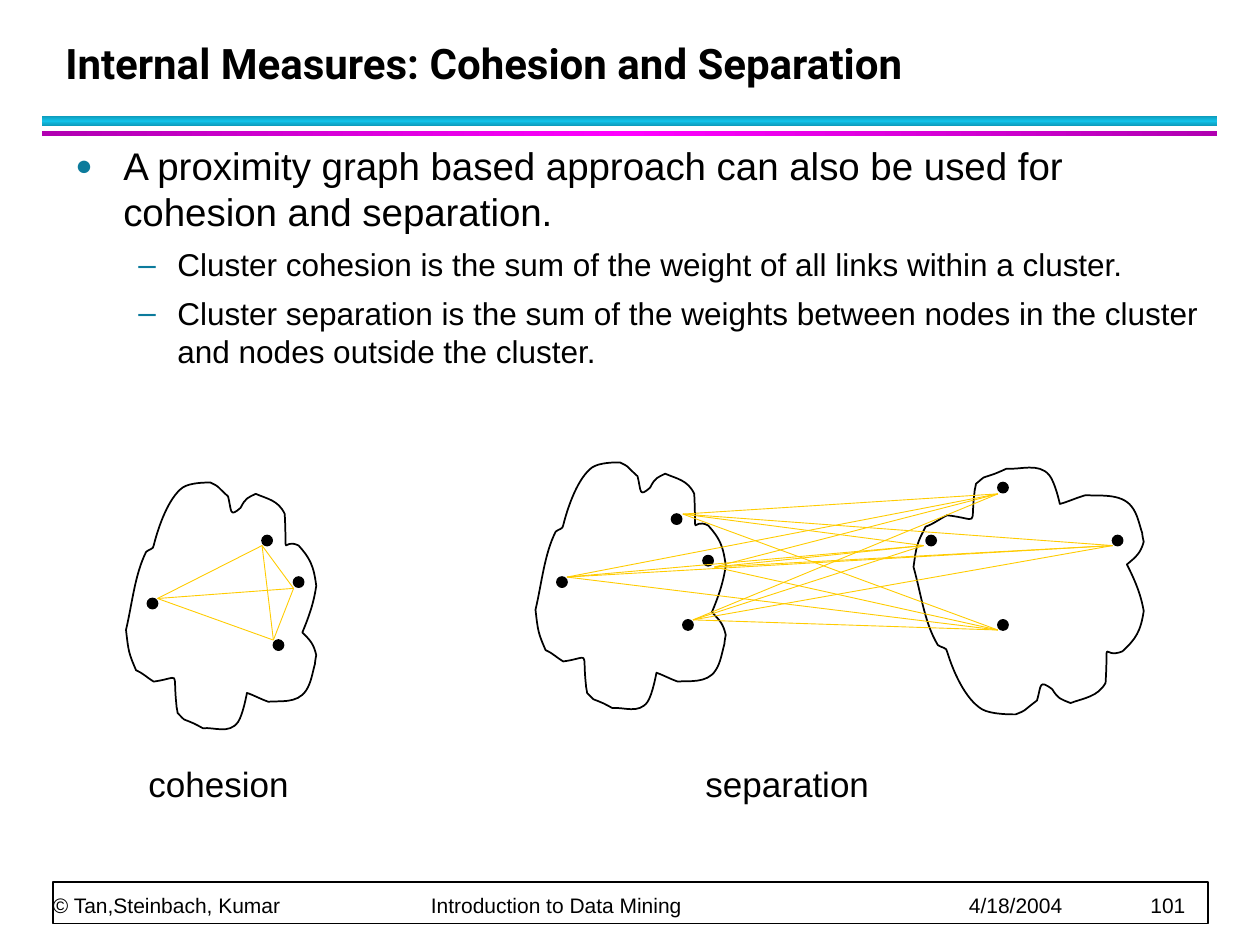
from copy import deepcopy
from itertools import combinations, product

from lxml import etree
from pptx import Presentation
from pptx import util as u
from pptx.dml.color import RGBColor
from pptx.enum import shapes, text
from pptx.oxml.ns import qn

BLACK = RGBColor(0x00, 0x00, 0x00)
WHITE = RGBColor(0xFF, 0xFF, 0xFF)
TEAL = RGBColor(0x0C, 0x7B, 0x9C)
CYAN, CYAN_DARK = RGBColor(0x12, 0xC2, 0xE9), RGBColor(0x0E, 0x9A, 0xB9)
MAGENTA, MAGENTA_DARK = RGBColor(0xFF, 0x00, 0xFF), RGBColor(0xB1, 0x00, 0xB1)
GOLD = RGBColor(0xFF, 0xCC, 0x00)

# Cluster outline in hundredths of an inch: a start point, then
# two control points and an end point for each curve
START = (16, 55)
CURVES = [
    (7, 73, 5, 96, 0, 117), (2, 134, 2, 135, 8, 149),
    (13, 151, 17, 155, 22, 158), (44, 155, 37, 148, 40, 176),
    (40, 179, 41, 181, 41, 183), (48, 190, 44, 187, 51, 190),
    (54, 191, 61, 195, 61, 195), (70, 194, 82, 200, 89, 190),
    (93, 184, 96, 167, 96, 167), (102, 169, 107, 172, 113, 174),
    (121, 173, 136, 176, 143, 165), (147, 159, 148, 151, 150, 144),
    (150, 142, 151, 137, 151, 137), (149, 128, 146, 125, 140, 119),
    (145, 107, 149, 96, 151, 82), (149, 66, 146, 60, 137, 50),
    (123, 43, 128, 65, 126, 25), (121, 14, 112, 13, 103, 9),
    (97, 12, 95, 12, 91, 20), (82, 28, 84, 23, 81, 11),
    (70, 1, 75, 4, 67, 0), (63, 0, 51, 0, 45, 4),
    (34, 12, 26, 34, 22, 50), (22, 53, 18, 53, 16, 55),
]


def add_xml(parent, tag, **attrs):
    return etree.SubElement(parent, qn(tag), attrs)


def write(p, words, size=20, font="Arial", bold=False, before=0, after=0,
          spacing=None, bullet=None, bullet_size=100, margin=0, hang=0,
          tabs=()):
    """Fill a paragraph with one formatted run."""
    r = p.add_run()
    r.text = words
    r.font.size, r.font.name, r.font.bold = u.Pt(size), font, bold
    r.font.color.rgb = BLACK
    p.space_before, p.space_after = u.Pt(before), u.Pt(after)
    if spacing:
        p.line_spacing = u.Pt(spacing)
    pPr = p._p.get_or_add_pPr()
    if bullet:
        pPr.set("marL", str(u.Inches(margin)))
        pPr.set("indent", str(-u.Inches(hang)))
        add_xml(add_xml(pPr, "a:buClr"), "a:srgbClr", val=str(TEAL))
        add_xml(pPr, "a:buSzPct", val=str(bullet_size * 1000))
        add_xml(pPr, "a:buFont", typeface=font)
        add_xml(pPr, "a:buChar", char=bullet)
    if tabs:
        tab_list = add_xml(pPr, "a:tabLst")
        for tab in tabs:
            add_xml(tab_list, "a:tab", pos=str(u.Inches(tab)), algn="l")


class Painter:
    """Draws on one slide in a shared style."""

    outline = u.Pt(1)
    link_width = u.Pt(0.5)
    dot_size = 0.08

    def __init__(self, slide):
        self.shapes = slide.shapes

    def shape(self, kind, x, y, w, h, fill, line=BLACK):
        sp = self.shapes.add_shape(kind, *map(u.Inches, (x, y, w, h)))
        sp.shadow.inherit = False
        sp.fill.solid()
        sp.fill.fore_color.rgb = fill
        if line is None:
            sp.line.fill.background()
        else:
            sp.line.color.rgb, sp.line.width = line, self.outline
        return sp

    def band(self, x, y, w, h, edge, middle, angle):
        sp = self.shape(shapes.MSO_SHAPE.RECTANGLE, x, y, w, h, middle, None)
        sp.fill.gradient()
        sp.fill.gradient_angle = angle
        stops = sp._element.xpath(".//a:gsLst")[0]
        stops.append(deepcopy(stops[0]))
        looks = [(0, edge), (0.5, middle), (1, edge)]
        for stop, (position, color) in zip(sp.fill.gradient_stops, looks):
            stop.position, stop.color.rgb = position, color

    def text_box(self, x, y, w, h, anchor=text.MSO_ANCHOR.TOP, wrap=True,
                 inset=True):
        sp = self.shapes.add_textbox(*map(u.Inches, (x, y, w, h)))
        tf = sp.text_frame
        tf.word_wrap, tf.vertical_anchor = wrap, anchor
        if not wrap:
            tf.auto_size = text.MSO_AUTO_SIZE.SHAPE_TO_FIT_TEXT
        if not inset:
            tf.margin_left = tf.margin_right = 0
            tf.margin_top = tf.margin_bottom = 0
        return tf

    def cluster(self, x, y, stretch=1, mirrored=False):
        """Draw the outline with its top left corner at x, y."""
        def place(px, py):
            return (u.Inches(x + px * stretch / 100),
                    u.Inches(y + (200 - py if mirrored else py) / 100))

        points = [place(*c[i:i + 2]) for c in CURVES for i in (0, 2, 4)]
        builder = self.shapes.build_freeform(*place(*START))
        builder.add_line_segments(points, close=True)
        sp = builder.convert_to_shape()
        sp.shadow.inherit = False
        sp.fill.background()
        sp.line.color.rgb, sp.line.width = BLACK, self.outline
        # Join each three segments into one cubic curve
        segments = sp._element.xpath(".//a:lnTo")
        for i in range(0, len(segments), 3):
            curve = etree.Element(qn("a:cubicBezTo"))
            segments[i].addprevious(curve)
            for segment in segments[i:i + 3]:
                curve.append(segment[0])
                segment.getparent().remove(segment)

    def dots(self, places):
        for x, y in places:
            self.shape(shapes.MSO_SHAPE.OVAL, x, y, self.dot_size,
                       self.dot_size, BLACK)

    def links(self, pairs):
        for start, end in pairs:
            line = self.shapes.add_connector(
                shapes.MSO_CONNECTOR.STRAIGHT, *map(u.Inches, start + end))
            line.line.color.rgb, line.line.width = GOLD, self.link_width
            add_xml(line._element.spPr, "a:effectLst")


def main():
    prs = Presentation()
    prs.slide_width, prs.slide_height = u.Inches(10), u.Inches(7.5)
    s = Painter(prs.slides.add_slide(prs.slide_layouts[6]))

    # Title and bands
    s.band(0.33, 0.92, 9.33, 0.08, CYAN_DARK, CYAN, 90)
    s.band(0.33, 1.04, 9.33, 0.04, MAGENTA_DARK, MAGENTA, 0)
    tf = s.text_box(0.42, 0.17, 9.06, 0.58, text.MSO_ANCHOR.BOTTOM)
    write(tf.paragraphs[0], "Internal Measures: Cohesion and Separation",
          size=24, font="Roboto", bold=True, spacing=36)

    # Footer
    s.shape(shapes.MSO_SHAPE.RECTANGLE, 0.42, 7, 9.17, 0.33, WHITE)
    tf = s.text_box(0.42, 6.72, 9.15, 0.56, text.MSO_ANCHOR.BOTTOM,
                    inset=False)
    footer = ["© Tan,Steinbach, Kumar", "Introduction to Data Mining",
              "4/18/2004", "101"]
    write(tf.paragraphs[0], "\t".join(footer), size=12, spacing=20,
          tabs=(3, 7.27, 8.71))

    # Body
    tf = s.text_box(0.5, 1.08, 9.25, 2)
    write(tf.paragraphs[0], "A proximity graph based approach can also be "
          "used for cohesion and separation.", size=22, after=4, bullet="●",
          bullet_size=75, margin=0.38, hang=0.38)
    for words in (
            "Cluster cohesion is the sum of the weight of all links within "
            "a cluster.",
            "Cluster separation is the sum of the weights between nodes in "
            "the cluster and nodes outside the cluster."):
        p = tf.add_paragraph()
        p.level = 1
        write(p, words, size=18, before=2.2, after=4, bullet="–",
              margin=0.81, hang=0.31)

    # Separation: every node of one cluster linked to every node of the other
    s.cluster(4.25, 3.67)
    s.dots([(5.42, 4.92), (5.33, 4.08), (4.42, 4.58), (5.58, 4.41)])
    s.cluster(7.25, 3.67, stretch=1.21, mirrored=True)
    s.dots([(8.83, 4.25), (7.35, 4.25), (7.92, 4.92), (7.92, 3.83)])
    left = [(5.5, 4.92), (5.67, 4.5), (4.5, 4.58), (5.42, 4.08)]
    right = [(7.92, 5), (7.33, 4.33), (7.92, 3.92), (8.83, 4.33)]
    s.links(product(left, right))

    # Cohesion: all nodes of one cluster linked to each other
    s.cluster(1, 3.83)
    s.dots([(2.17, 5.08), (2.08, 4.25), (1.17, 4.75), (2.33, 4.58)])
    s.links(combinations(
        [(1.25, 4.75), (2.08, 4.33), (2.17, 5.08), (2.33, 4.67)], 2))

    # Captions
    for words, x, w in (("cohesion", 1.08, 1.35), ("separation", 5.5, 1.52)):
        tf = s.text_box(x, 6, w, 0.44, wrap=False)
        write(tf.paragraphs[0], words)

    prs.save("out.pptx")


if __name__ == "__main__":
    main()
